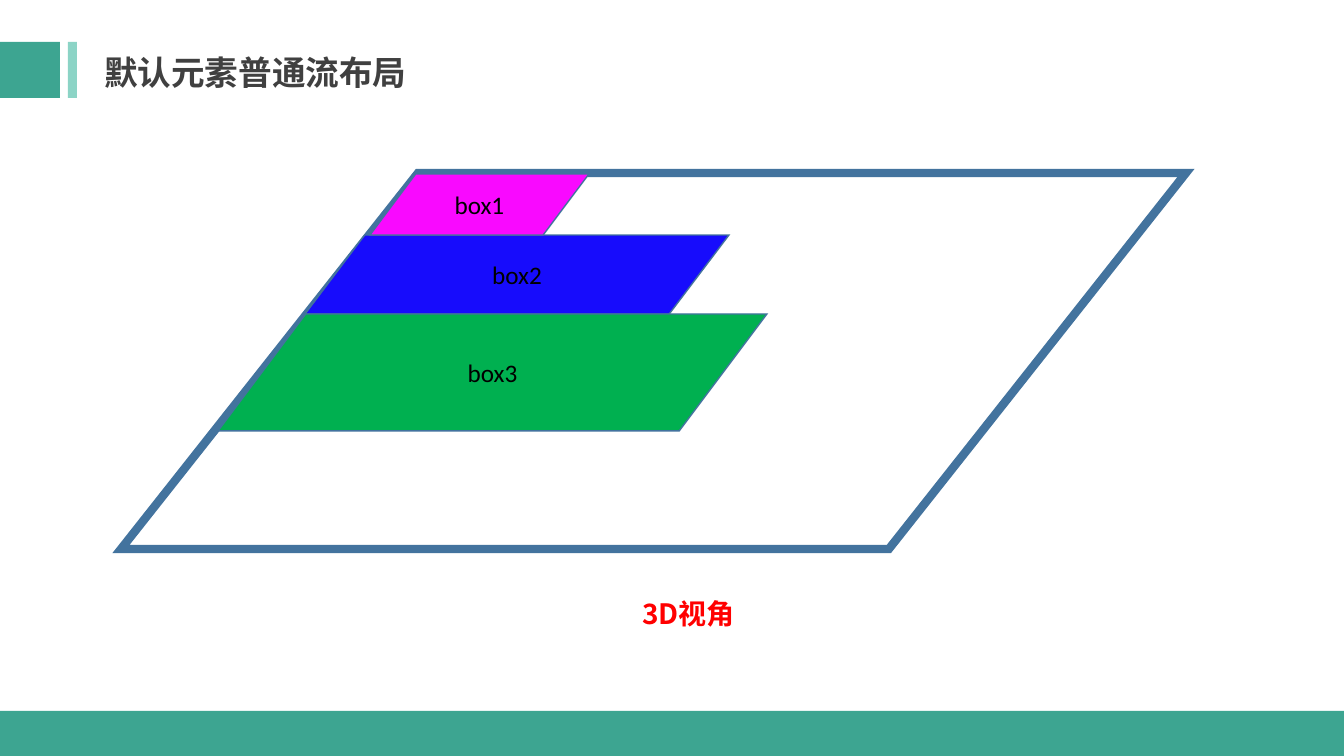
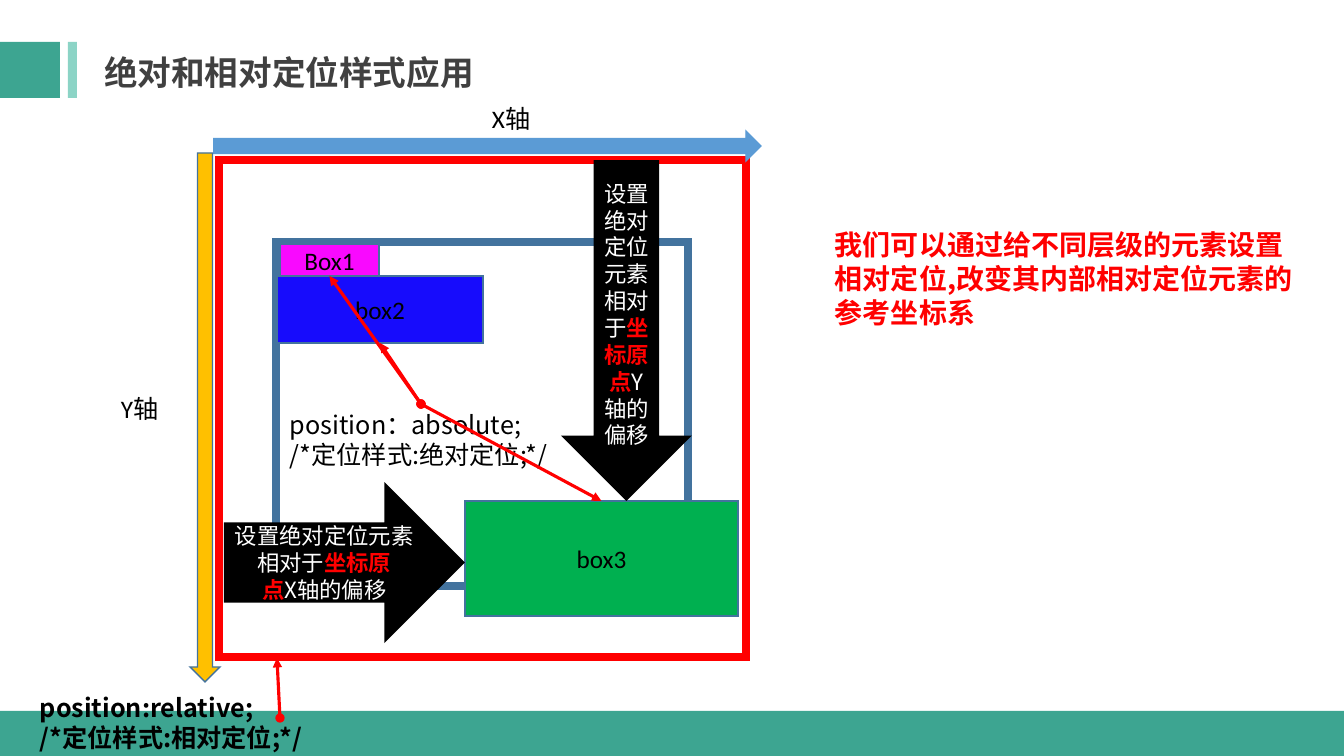
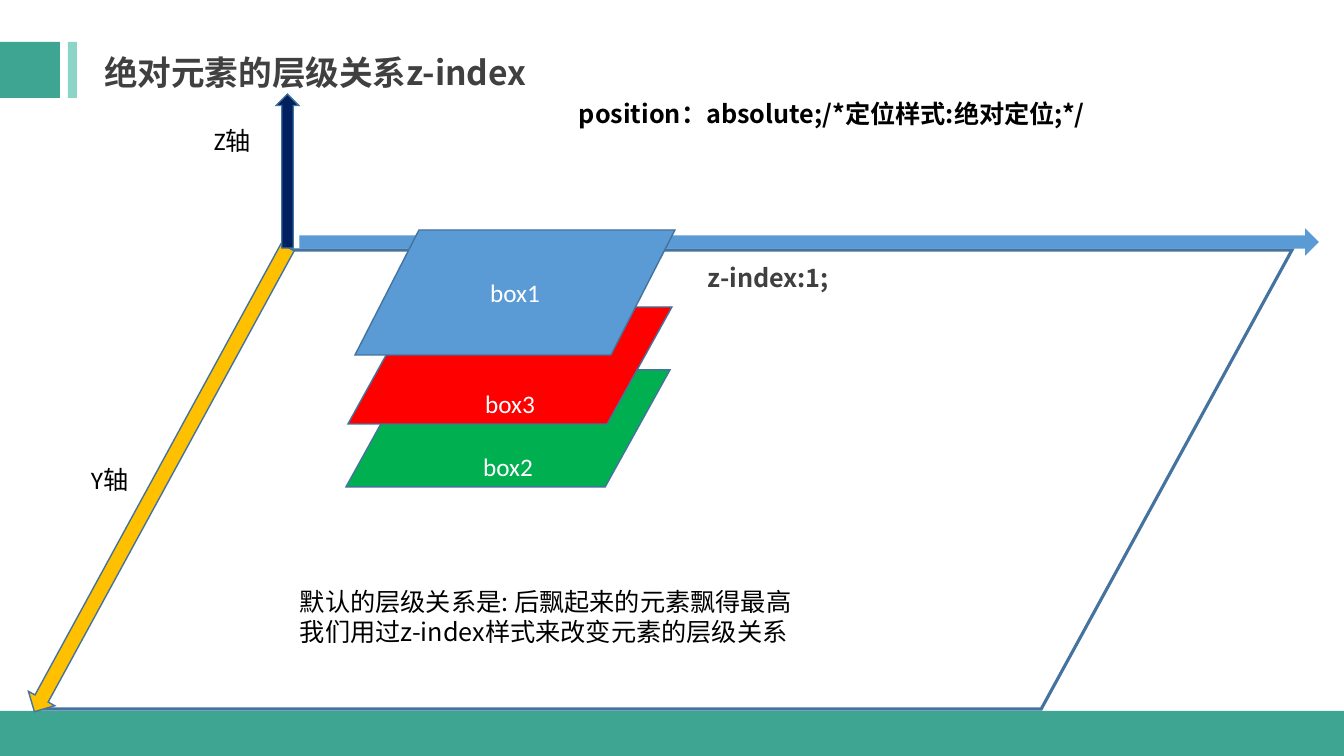
from lxml import etree
from pptx import Presentation
from pptx.dml.color import RGBColor
from pptx.enum.shapes import MSO_CONNECTOR, MSO_SHAPE
from pptx.enum.text import MSO_ANCHOR, MSO_AUTO_SIZE, PP_ALIGN
from pptx.oxml.ns import qn
from pptx.util import Pt

# Scale: the slide is 1344 x 756 px
PX = 12192000 / 1344
SLIDE_W, SLIDE_H = 1344, 756

RECT, SLANT, PLANE = MSO_SHAPE.RECTANGLE, MSO_SHAPE.PARALLELOGRAM, MSO_SHAPE.FLOWCHART_DATA
DOWN, RIGHT, UP = MSO_SHAPE.DOWN_ARROW, MSO_SHAPE.RIGHT_ARROW, MSO_SHAPE.UP_ARROW
STRAIGHT = MSO_CONNECTOR.STRAIGHT
LEFT, CENTER = PP_ALIGN.LEFT, PP_ALIGN.CENTER
TOP, MIDDLE, BOTTOM = MSO_ANCHOR.TOP, MSO_ANCHOR.MIDDLE, MSO_ANCHOR.BOTTOM
GROW = MSO_AUTO_SIZE.SHAPE_TO_FIT_TEXT
TOP_SIDE, BOTTOM_SIDE = 0, 2

TEAL = RGBColor(0x3D, 0xA5, 0x91)
MINT = RGBColor(0x8C, 0xD4, 0xC6)
GRAY = RGBColor(0x40, 0x40, 0x40)
STEEL = RGBColor(0x43, 0x73, 0x9E)
SKY = RGBColor(0x5B, 0x9B, 0xD5)
NAVY = RGBColor(0x00, 0x20, 0x60)
BLUE = RGBColor(0x17, 0x0C, 0xFC)
GREEN = RGBColor(0x00, 0xB0, 0x50)
MAGENTA = RGBColor(0xF9, 0x09, 0xFF)
GOLD = RGBColor(0xFF, 0xC0, 0x00)
RED = RGBColor(0xFF, 0x00, 0x00)
BLACK = RGBColor(0x00, 0x00, 0x00)
WHITE = RGBColor(0xFF, 0xFF, 0xFF)

CJK, LATIN = "Noto Sans CJK SC", "Calibri"

# Text styles: size, font, colour, bold
TITLE = (24, CJK, GRAY, True)
CALLOUT = (20, CJK, RED, True)
BODY = (18, CJK, BLACK, False)
CODE = (18, CJK, BLACK, True)
INDEX = (18, CJK, GRAY, True)
LABEL = (18, LATIN, BLACK, False)
BOX_LIGHT = (18, LATIN, WHITE, False)
OFFSET = (16, CJK, WHITE, False)
ORIGIN = (16, CJK, RED, True)

# Shared decoration: box, colour
BANDS = [
    ((0, 42, 60, 56), TEAL),
    ((68, 42, 9, 56), MINT),
    ((0, 711, SLIDE_W, 45), TEAL),
]
FIRST_BAND_ID = 20
TITLE_BOX = (94, 47, 578, 50)

# Slide 1: name, box, slant, colour
FLOW_TITLE = "默认元素普通流布局"
FLOW_PLANE = ((121, 173, 1065, 376), 0.79)
FLOW_BOXES = [
    ("box2", (305, 235, 424, 79), 0.756, BLUE),
    ("box3", (218, 314, 549, 117), 0.75, GREEN),
    ("box1", (370, 174, 219, 61), 0.75, MAGENTA),
]
FLOW_CAPTION = ("3D视角", (442, 592, 493, 44))

# Slide 2
POSITION_TITLE = "绝对和相对定位样式应用"
POSITION_FRAMES = [((219, 160, 527, 497), RED), ((276, 242, 412, 344), STEEL)]
POSITION_BOXES = [
    ("Box1", (280, 244, 99, 32), MAGENTA, BOTTOM_SIDE),
    ("box2", (277, 276, 206, 67), BLUE, BOTTOM_SIDE),
    ("box3", (465, 501, 273, 115), GREEN, TOP_SIDE),
]
ABSOLUTE_RULE = (["position：absolute;", "/*定位样式:绝对定位;*/"], (280, 404, 282, 72))
POSITION_TEXTS = [
    (["我们可以通过给不同层级的元素设置相对定位,改变其内部相对定位元素的参考坐标系"],
     (825, 223, 493, 112), CALLOUT),
    (["position:relative;", "/*定位样式:相对定位;*/"], (30, 687, 324, 69), CODE),
    (["X轴"], (482, 98, 68, 40), LABEL),
    (["Y轴"], (111, 388, 72, 40), LABEL),
]
RELATIVE_POINTER = ((280, 718), (277, 658))
POSITION_AXES = [
    (RIGHT, (214, 131, 547, 30), SKY, SKY),
    (DOWN, (190, 153, 30, 529), GOLD, STEEL),
]
OFFSET_ARROWS = [
    (DOWN, (561, 160, 131, 341), "Y"),
    (RIGHT, (224, 482, 241, 161), "X"),
]

# Slide 3
LAYER_TITLE = "绝对元素的层级关系z-index"
LAYER_PLANE = (38, 250, 1254, 459)
LAYER_AXES = [
    (RIGHT, (300, 230, 1018, 24), SKY, SKY, 0),
    (DOWN, (146, 215, 30, 529), GOLD, STEEL, 28.6),
    (UP, (276, 94, 23, 154), NAVY, STEEL, 0),
]
# Back to front; a covered box has its label on its visible lower strip
LAYER_BOXES = [
    ("box2", (346, 370, 324, 117), GREEN, BOTTOM),
    ("box3", (348, 307, 324, 117), RED, BOTTOM),
    ("box1", (355, 230, 320, 125), SKY, MIDDLE),
]
LAYER_TEXTS = [
    (["Y轴"], (81, 459, 213, 40), LABEL),
    (["Z轴"], (204, 120, 66, 40), LABEL),
    (["position：absolute;/*定位样式:绝对定位;*/"], (569, 93, 549, 40), CODE),
    (["默认的层级关系是: 后飘起来的元素飘得最高",
      "我们用过z-index样式来改变元素的层级关系"], (290, 581, 743, 72), BODY),
]
LAYER_INDEX = (["z-index:1;"], (698, 257, 145, 40), INDEX)


def emu(lengths):
    return [round(length * PX) for length in lengths]


def write(frame, paragraphs, align=LEFT, anchor=TOP):
    """Fill a text frame; each paragraph is a list of (text, style) runs."""
    frame.word_wrap = True
    frame.vertical_anchor = anchor
    for i, runs in enumerate(paragraphs):
        paragraph = frame.paragraphs[0] if i == 0 else frame.add_paragraph()
        paragraph.alignment = align
        for text, (size, font, color, bold) in runs:
            run = paragraph.add_run()
            run.text = text
            run.font.size = Pt(size)
            run.font.name = font
            run.font.bold = bold
            run.font.color.rgb = color
            east_asian = etree.SubElement(run._r.get_or_add_rPr(), qn("a:ea"))
            east_asian.set("typeface", CJK)


def add_figure(slide, preset, box, fill=None, line=None, weight=1,
               paragraphs=(), anchor=MIDDLE):
    figure = slide.shapes.add_shape(preset, *emu(box))
    figure.shadow.inherit = False
    if fill is None:
        figure.fill.background()
    else:
        figure.fill.solid()
        figure.fill.fore_color.rgb = fill
    if line is None:
        figure.line.fill.background()
    else:
        figure.line.color.rgb = line
        figure.line.width = Pt(weight)
        # Sharp corners
        outline = figure.element.spPr.find(qn("a:ln"))
        etree.SubElement(outline, qn("a:miter")).set("lim", "800000")
    if paragraphs:
        write(figure.text_frame, paragraphs, CENTER, anchor)
    return figure


def add_text(slide, lines, box, style, align=LEFT, wrap=True):
    words = slide.shapes.add_textbox(*emu(box))
    write(words.text_frame, [[(line, style)] for line in lines], align)
    words.text_frame.auto_size = GROW
    words.text_frame.word_wrap = wrap
    return words


def add_pointer(slide, start=(0, 0), end=(0, 0)):
    pointer = slide.shapes.add_connector(STRAIGHT, *emu(start + end))
    pointer.line.color.rgb = RED
    pointer.line.width = Pt(2.25)
    properties = pointer.element.spPr
    outline = properties.find(qn("a:ln"))
    for tag, kind in (("a:headEnd", "oval"), ("a:tailEnd", "triangle")):
        etree.SubElement(outline, qn(tag)).set("type", kind)
    etree.SubElement(properties, qn("a:effectLst"))
    return pointer


def add_slide(deck, layout, text):
    slide = deck.slides.add_slide(layout)
    title = slide.shapes.title
    title.left, title.top, title.width, title.height = emu(TITLE_BOX)
    title.fill.solid()
    title.fill.fore_color.rgb = WHITE
    write(title.text_frame, [[(text, TITLE)]])
    title.text_frame.auto_size = GROW
    return slide


def build_flow(slide):
    plane_box, plane_slant = FLOW_PLANE
    plane = add_figure(slide, SLANT, plane_box, line=STEEL, weight=6)
    plane.adjustments[0] = plane_slant
    for name, box, slant, color in FLOW_BOXES:
        element = add_figure(slide, SLANT, box, color, STEEL, paragraphs=[[(name, LABEL)]])
        element.adjustments[0] = slant
    caption, box = FLOW_CAPTION
    add_text(slide, [caption], box, CALLOUT, CENTER)


def build_position(slide):
    for box, color in POSITION_FRAMES:
        add_figure(slide, RECT, box, line=color, weight=6)
    targets = [
        (add_figure(slide, RECT, box, color, STEEL, paragraphs=[[(name, LABEL)]]), side)
        for name, box, color, side in POSITION_BOXES
    ]
    for lines, box, style in POSITION_TEXTS:
        add_text(slide, lines, box, style)

    # Pointers from the style rules to the elements they apply to
    add_pointer(slide, *RELATIVE_POINTER)
    rule = add_text(slide, *ABSOLUTE_RULE, BODY)
    for target, side in targets:
        pointer = add_pointer(slide)
        pointer.begin_connect(rule, TOP_SIDE)
        pointer.end_connect(target, side)

    # Axes and offsets
    for preset, box, fill, line in POSITION_AXES:
        add_figure(slide, preset, box, fill, line)
    for preset, box, axis in OFFSET_ARROWS:
        add_figure(slide, preset, box, BLACK, paragraphs=[
            [("设置绝对定位元素相对于", OFFSET), ("坐标原", ORIGIN)],
            [("点", ORIGIN), (axis + "轴的偏移", OFFSET)],
        ])


def build_layers(slide):
    add_figure(slide, PLANE, LAYER_PLANE, WHITE, STEEL, 2.25)
    for preset, box, fill, line, angle in LAYER_AXES:
        add_figure(slide, preset, box, fill, line).rotation = angle
    for name, box, color, anchor in LAYER_BOXES:
        add_figure(slide, PLANE, box, color, STEEL,
                   paragraphs=[[(name, BOX_LIGHT)]], anchor=anchor)
    for lines, box, style in LAYER_TEXTS:
        add_text(slide, lines, box, style)
    add_text(slide, *LAYER_INDEX, wrap=False)


def main():
    deck = Presentation()
    deck.slide_width, deck.slide_height = emu((SLIDE_W, SLIDE_H))
    layout = deck.slide_layouts[5]
    pages = [
        (FLOW_TITLE, build_flow),
        (POSITION_TITLE, build_position),
        (LAYER_TITLE, build_layers),
    ]
    slides = [add_slide(deck, layout, title) for title, _ in pages]

    # The bands live on the layout, so every slide shows them
    for band_id, (box, color) in enumerate(BANDS, FIRST_BAND_ID):
        band = add_figure(slides[0], RECT, box, color)
        band.element.nvSpPr.cNvPr.set("id", str(band_id))
        layout.shapes.element.append(band.element)

    for slide, (_, build) in zip(slides, pages):
        build(slide)
    deck.save("out.pptx")


if __name__ == "__main__":
    main()
